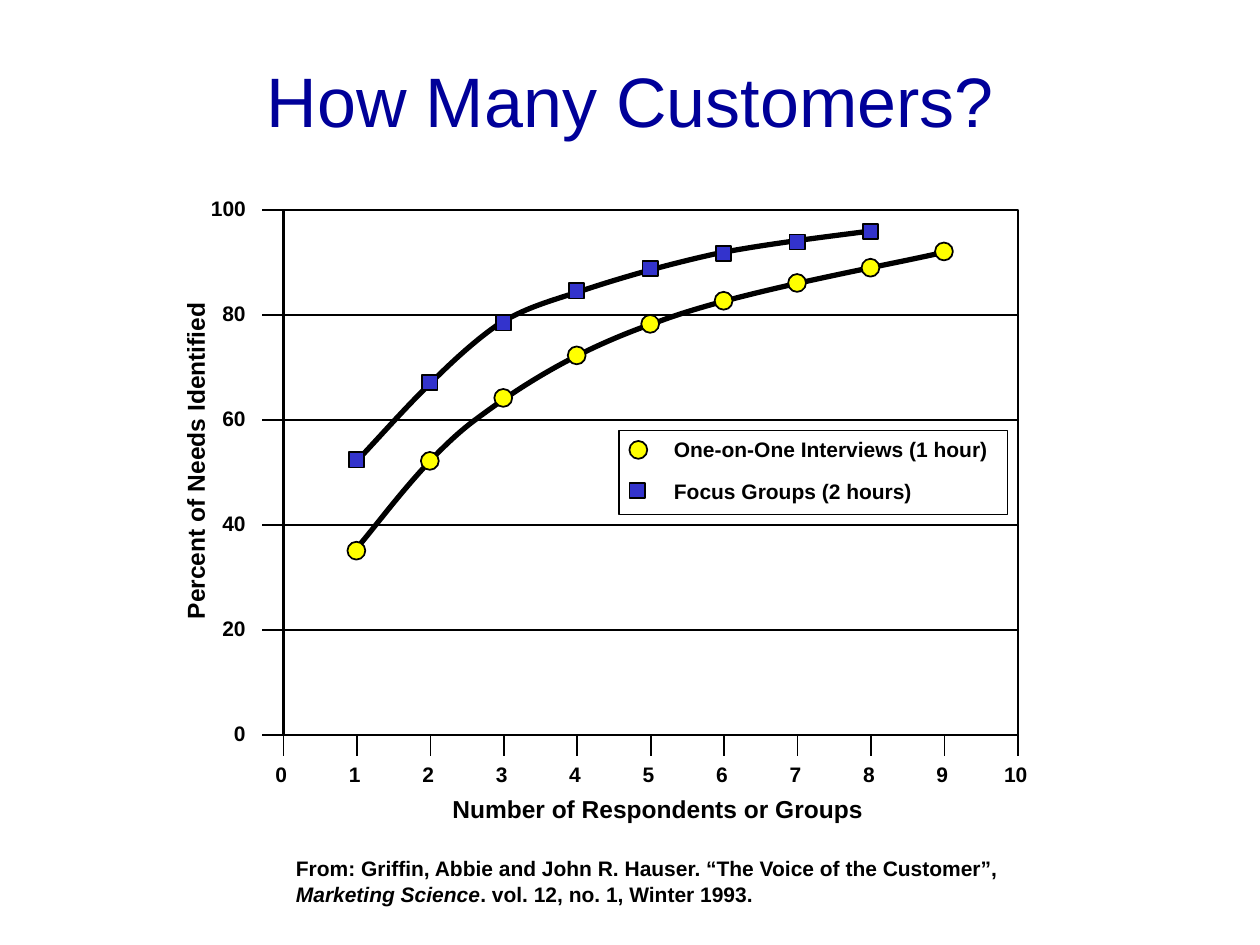
from dataclasses import dataclass
from typing import NamedTuple

from lxml import etree
from pptx import Presentation
from pptx import util as u
from pptx.dml.color import RGBColor
from pptx.enum import shapes, text
from pptx.oxml.ns import qn

COLORS = {"title": "000099", "ink": "000000", "focus": "3333CC", "interview": "FFFF00"}
FONT = "Arial"
COLUMNS, ROWS = 120, 90  # square grid cells, twelve to the inch
X_MAX, Y_MAX = 10, 100
X_TICKS, Y_TICKS = range(0, X_MAX + 1), range(0, Y_MAX + 1, 20)
TICK = 2
LABEL_HEIGHT = 3.6


class Box(NamedTuple):
    left: float
    top: float
    width: float
    height: float


class Run(NamedTuple):
    words: str
    italic: bool = False


@dataclass
class Series:
    label: str
    label_width: float
    legend_row: float
    marker: shapes.MSO_SHAPE
    size: float
    color: str
    needs: list[float]
    trend: list[tuple[float, float]]  # start, then two handles and an end per Bézier


PLOT = Box(27, 20, 69.95, 50)
LEGEND = Box(58.95, 41, 37, 8)
INTERVIEWS = Series(
    "One-on-One Interviews (1 hour)", 32.3, 41, shapes.MSO_SHAPE.OVAL, 1.7, "interview",
    [35.1, 52.2, 64.2, 72.3, 78.3, 82.7, 86.1, 89, 92.1],
    [(33.7, 52.5), (35.6, 50.5), (40.2, 43.8), (45.1, 40.1), (49.9, 36.5), (55.2, 33.2),
     (62.8, 30.6), (70.2, 27.8), (84.4, 25.3), (90, 24)])
FOCUS_GROUPS = Series(
    "Focus Groups (2 hours)", 25.1, 45, shapes.MSO_SHAPE.RECTANGLE, 1.45, "focus",
    [52.4, 67.1, 78.5, 84.6, 88.9, 91.7, 93.9, 95.9],
    [(33.7, 44.2), (34.9, 43), (38.6, 38.8), (40.9, 36.6), (43.2, 34.3), (45.4, 32.3),
     (47.6, 30.8), (50, 29.4), (51.6, 28.9), (55.1, 27.8), (58.6, 26.6), (63.8, 25.1),
     (68.5, 24.1), (73.1, 23.2), (79.9, 22.4), (82.9, 22)])

prs = Presentation()
prs.slide_width, prs.slide_height = u.Inches(10), u.Inches(7.5)


def across(columns: float) -> u.Emu:
    return u.Emu(round(prs.slide_width * columns / COLUMNS))


def down(rows: float) -> u.Emu:
    return u.Emu(round(prs.slide_height * rows / ROWS))


def place(box: Box) -> tuple:
    return across(box.left), down(box.top), across(box.width), down(box.height)


def plot_x(respondents: float) -> float:
    return PLOT.left + PLOT.width * respondents / X_MAX


def plot_y(percent: float) -> float:
    return PLOT.top + PLOT.height * (1 - percent / Y_MAX)


def style_line(line, width: float) -> None:
    line.color.rgb = RGBColor.from_string(COLORS["ink"])
    line.width = u.Pt(width)


def add_outline(parent, kind: shapes.MSO_SHAPE, box: Box, width: float,
                fill: str = "") -> None:
    shape = parent.add_shape(kind, *place(box))
    shape.shadow.inherit = False
    if fill:
        shape.fill.solid()
        shape.fill.fore_color.rgb = RGBColor.from_string(COLORS[fill])
    else:
        shape.fill.background()
    style_line(shape.line, width)


def add_line(parent, x1: float, y1: float, x2: float, y2: float) -> None:
    line = parent.add_connector(shapes.MSO_CONNECTOR.STRAIGHT,
                                across(x1), down(y1), across(x2), down(y2))
    etree.SubElement(line._element.spPr, qn("a:effectLst"))
    style_line(line.line, 1)


def write(frame, runs: list[Run], size: float, color: str = "ink", bold: bool = True,
          align: text.PP_ALIGN = text.PP_ALIGN.LEFT) -> None:
    paragraph = frame.paragraphs[0]
    paragraph.alignment = align
    for part in runs:
        run = paragraph.add_run()
        run.text = part.words
        font = run.font
        font.name, font.size, font.bold, font.italic = FONT, u.Pt(size), bold, part.italic
        font.color.rgb = RGBColor.from_string(COLORS[color])


def add_text(parent, box: Box, runs: list[Run], size: float = 12, wrap: bool = False,
             align: text.PP_ALIGN = text.PP_ALIGN.LEFT):
    label = parent.add_textbox(*place(box))
    label.text_frame.word_wrap = wrap
    label.text_frame.auto_size = text.MSO_AUTO_SIZE.SHAPE_TO_FIT_TEXT
    write(label.text_frame, runs, size, align=align)
    return label


def add_curve(parent, series: Series) -> None:
    """Draw the trend, turning every three line segments into one Bézier segment."""
    start, *rest = [(across(x), down(y)) for x, y in series.trend]
    builder = parent.build_freeform(*start)
    builder.add_line_segments(rest, close=False)
    curve = builder.convert_to_shape()
    outline = curve._element.find(".//" + qn("a:path"))
    segments = outline.findall(qn("a:lnTo"))
    for first in range(0, len(segments), 3):
        bezier = etree.SubElement(outline, qn("a:cubicBezTo"))
        for segment in segments[first:first + 3]:
            bezier.append(segment[0])
            outline.remove(segment)
    curve.shadow.inherit = False
    curve.fill.background()
    style_line(curve.line, 3)


def add_marker(parent, series: Series, x: float, y: float) -> None:
    half = series.size / 2
    add_outline(parent, series.marker, Box(x - half, y - half, series.size, series.size),
                1, series.color)


def add_axes(parent) -> None:
    right, bottom = PLOT.left + PLOT.width, PLOT.top + PLOT.height
    add_outline(parent, shapes.MSO_SHAPE.RECTANGLE, PLOT, 1.5)
    for x in map(plot_x, X_TICKS):
        add_line(parent, x, bottom, x, bottom + TICK)
    for y in map(plot_y, Y_TICKS):
        add_line(parent, PLOT.left - TICK, y, right, y)


def add_axis_labels(parent) -> None:
    def tick_label(number: int, right: float, top: float, centered: bool) -> None:
        width = 2.4 + 1.1 * len(str(number))
        left = right - (width / 2 if centered else width)
        add_text(parent, Box(left, top, width, LABEL_HEIGHT), [Run(str(number))])

    for count in X_TICKS:
        tick_label(count, plot_x(count) - 0.2, 71.9, True)
    for percent in Y_TICKS:
        tick_label(percent, 24.6, plot_y(percent) - 2, False)
    needs_title = add_text(parent, Box(0.9, 41.85, 35.5, 4.1),
                           [Run("Percent of Needs Identified")], 14,
                           align=text.PP_ALIGN.CENTER)
    needs_title.rotation = 270
    add_text(parent, Box(41.9, 75, 41.5, 4.1), [Run("Number of Respondents or Groups")], 14)


def add_legend(parent) -> None:
    legend = parent.add_group_shape().shapes
    for series in (FOCUS_GROUPS, INTERVIEWS):
        half = series.size / 2
        add_marker(legend, series, 59.95 + half, series.legend_row + 1 + half)
    add_outline(legend, shapes.MSO_SHAPE.RECTANGLE, LEGEND, 1)
    for series in (INTERVIEWS, FOCUS_GROUPS):
        add_text(legend, Box(63, series.legend_row, series.label_width, LABEL_HEIGHT),
                 [Run(series.label)])


def main() -> None:
    slide = prs.slides.add_slide(prs.slide_layouts[5])
    title = slide.shapes.title
    title.left, title.top, title.width, title.height = place(Box(9, 2, 102, 15))
    title.text_frame.auto_size = text.MSO_AUTO_SIZE.NONE
    title.text_frame.vertical_anchor = text.MSO_ANCHOR.MIDDLE
    write(title.text_frame, [Run("How Many Customers?")], 40, "title", False,
          text.PP_ALIGN.CENTER)
    add_text(slide.shapes, Box(27, 80.93, 72.1, 6), [
        Run("From: Griffin, Abbie and John R. Hauser. “The Voice of the Customer”, "),
        Run("Marketing Science", italic=True),
        Run(". vol. 12, no. 1, Winter 1993."),
    ], wrap=True)
    add_axes(slide.shapes)
    for series in (INTERVIEWS, FOCUS_GROUPS):
        add_curve(slide.shapes, series)
    for series in (FOCUS_GROUPS, INTERVIEWS):
        for count, need in enumerate(series.needs, 1):
            add_marker(slide.shapes, series, plot_x(count) - 0.05, plot_y(need))
    add_legend(slide.shapes)
    add_axis_labels(slide.shapes)
    prs.save("out.pptx")


if __name__ == "__main__":
    main()
